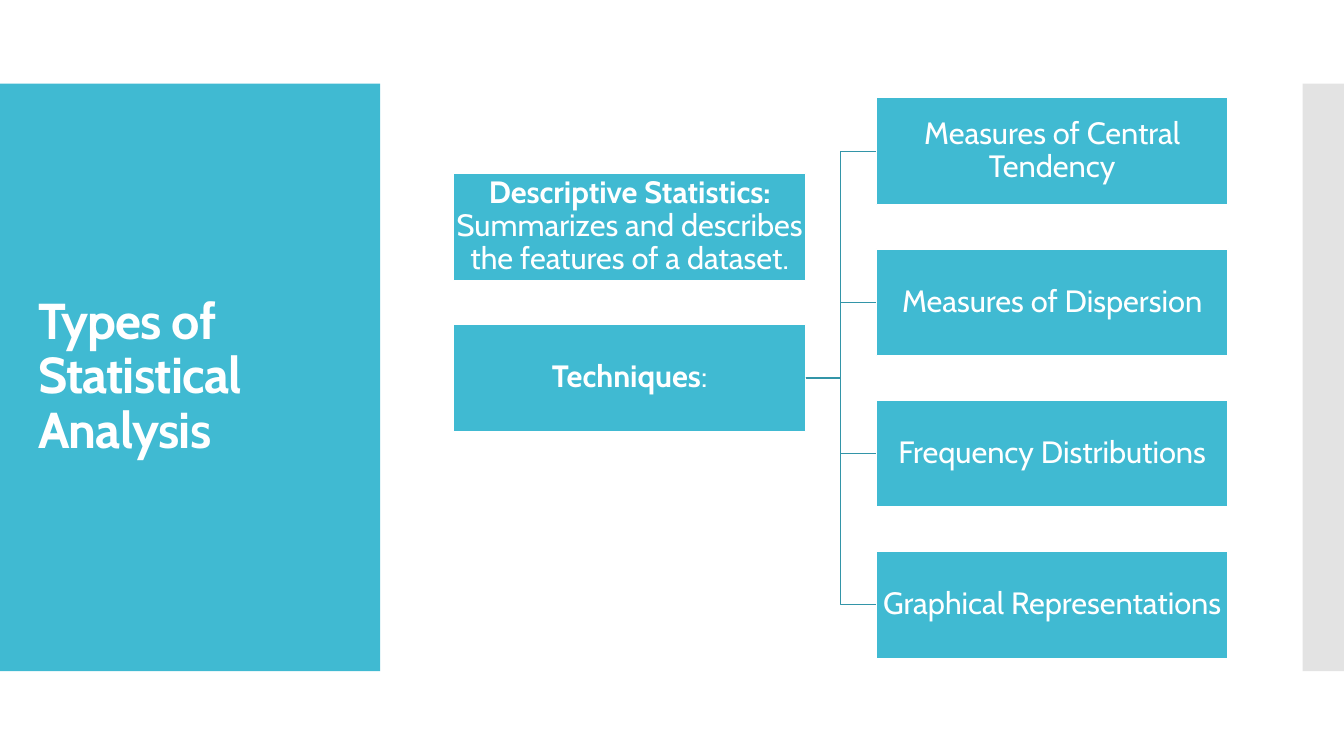
from dataclasses import dataclass

from lxml import etree
from pptx import Presentation
from pptx.dml.color import RGBColor
from pptx.enum import shapes, text
from pptx.oxml import ns
from pptx.util import Inches, Pt

TEAL, LINE, GREY, WHITE = "40BAD2", "3395A8", "C8C8C8", "FFFFFF"
BOX_W, BOX_H, PITCH = 3.49, 1.06, 1.5
LEFT_X, RIGHT_X = 4.5, 8.69
LEFT_SITE, RIGHT_SITE = 1, 3


@dataclass
class Run:
    text: str
    bold: bool = False


@dataclass
class Box:
    x: float
    y: float
    runs: list[Run]


def color(hex_value: str) -> RGBColor:
    return RGBColor.from_string(hex_value)


def add_rect(s, x: float, y: float, w: float, h: float, fill: str):
    sp = s.shapes.add_shape(shapes.MSO_SHAPE.RECTANGLE,
                            Inches(x), Inches(y), Inches(w), Inches(h))
    sp.shadow.inherit = False
    sp.fill.solid()
    sp.fill.fore_color.rgb = color(fill)
    sp.line.fill.background()
    return sp


def format_frame(tf, margins: tuple[float, float]) -> None:
    side, top = (Inches(m) for m in margins)
    values = {"word_wrap": True, "auto_size": text.MSO_AUTO_SIZE.NONE,
              "vertical_anchor": text.MSO_ANCHOR.MIDDLE,
              "margin_left": side, "margin_right": side,
              "margin_top": top, "margin_bottom": top}
    for name, value in values.items():
        setattr(tf, name, value)


def write_runs(p, runs: list[Run], size: float, align) -> None:
    p.alignment, p.line_spacing = align, 0.9
    for run in runs:
        r = p.add_run()
        r.text = run.text
        values = {"name": "Cabin", "size": Pt(size), "bold": run.bold}
        for name, value in values.items():
            setattr(r.font, name, value)
        r.font.color.rgb = color(WHITE)


def add_box(s, box: Box):
    sp = add_rect(s, box.x, box.y, BOX_W, BOX_H, TEAL)
    sp.line.color.rgb = color(WHITE)
    sp.line.width = Pt(0.85)
    format_frame(sp.text_frame, (0.02, 0.02))
    write_runs(sp.text_frame.paragraphs[0], box.runs, 22, text.PP_ALIGN.CENTER)
    return sp


def add_branch(s, parent, child) -> None:
    line = s.shapes.add_connector(shapes.MSO_CONNECTOR.ELBOW, 0, 0, 0, 0)
    line.begin_connect(parent, RIGHT_SITE)
    line.end_connect(child, LEFT_SITE)
    line.line.color.rgb = color(LINE)
    line.line.width = Pt(0.85)
    etree.SubElement(line._element.spPr, ns.qn("a:effectLst"))


def add_title(s) -> None:
    title = s.shapes.title
    place = {"left": 0.28, "top": 1.23, "width": 3.22, "height": 5.03}
    for name, value in place.items():
        setattr(title, name, Inches(value))
    format_frame(title.text_frame, (0.1, 0.05))
    p = title.text_frame.paragraphs[0]
    write_runs(p, [Run("Types of Statistical Analysis", True)], 36, text.PP_ALIGN.LEFT)
    p.runs[0]._r.get_or_add_rPr().set("spc", "-60")


def main() -> None:
    prs = Presentation()
    prs.slide_width, prs.slide_height = Inches(13.33), Inches(7.5)
    s = prs.slides.add_slide(prs.slide_layouts[5])

    # Side panels, behind the title
    panel = add_rect(s, 0, 0.83, 3.77, 5.83, TEAL)
    strip = add_rect(s, 12.92, 0.83, 0.41, 5.83, GREY)
    grey = strip._element.spPr.find(".//" + ns.qn("a:srgbClr"))
    etree.SubElement(grey, ns.qn("a:alpha"), val="50000")
    for sp in (panel, strip):
        s.shapes.title._element.addprevious(sp._element)
    add_title(s)

    # Definition and root of the tree
    add_box(s, Box(LEFT_X, 1.72, [
        Run("Descriptive Statistics:", True),
        Run(" Summarizes and describes the features of a dataset.")]))
    root = add_box(s, Box(LEFT_X, 1.72 + PITCH, [Run("Techniques", True), Run(":")]))

    # Techniques, each joined to the root
    techniques = ["Measures of Central Tendency", "Measures of Dispersion",
                  "Frequency Distributions", "Graphical Representations"]
    for i, technique in enumerate(techniques):
        child = add_box(s, Box(RIGHT_X, 0.97 + i * PITCH, [Run(technique)]))
        add_branch(s, root, child)

    prs.save("out.pptx")


if __name__ == "__main__":
    main()
